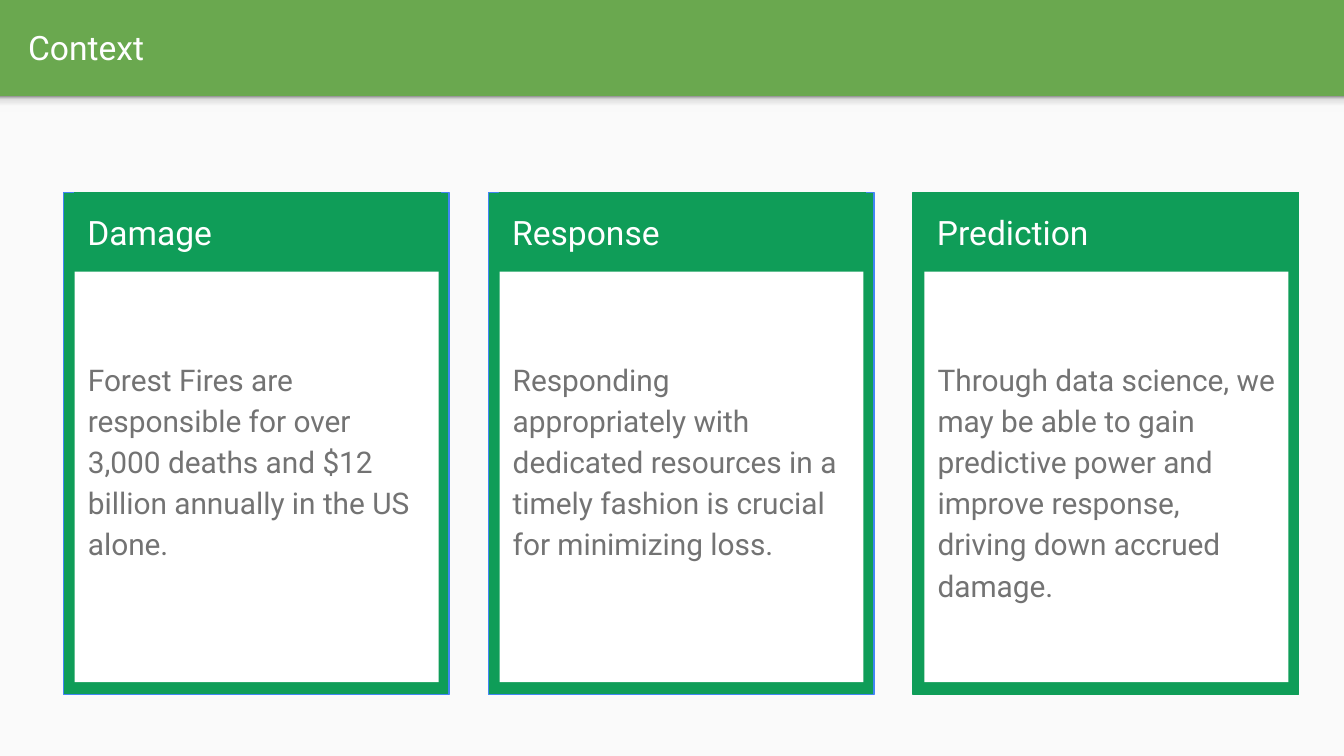
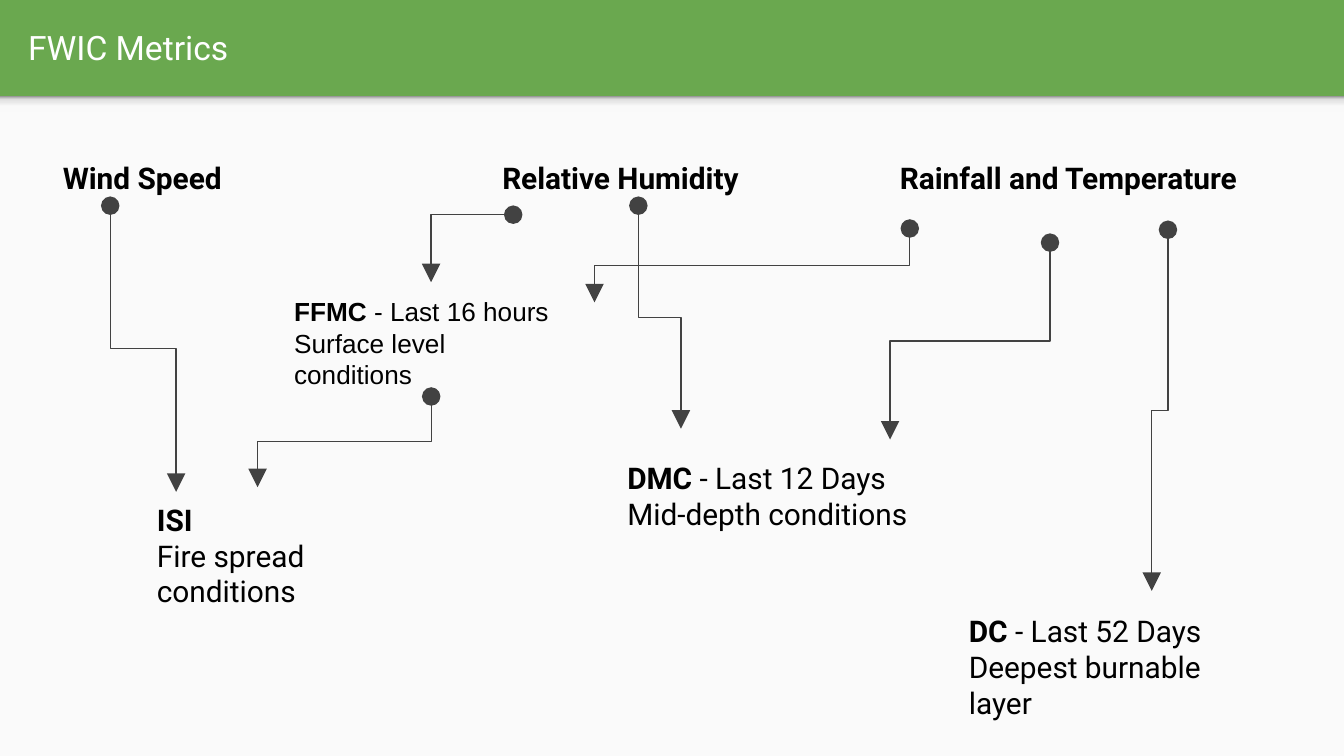
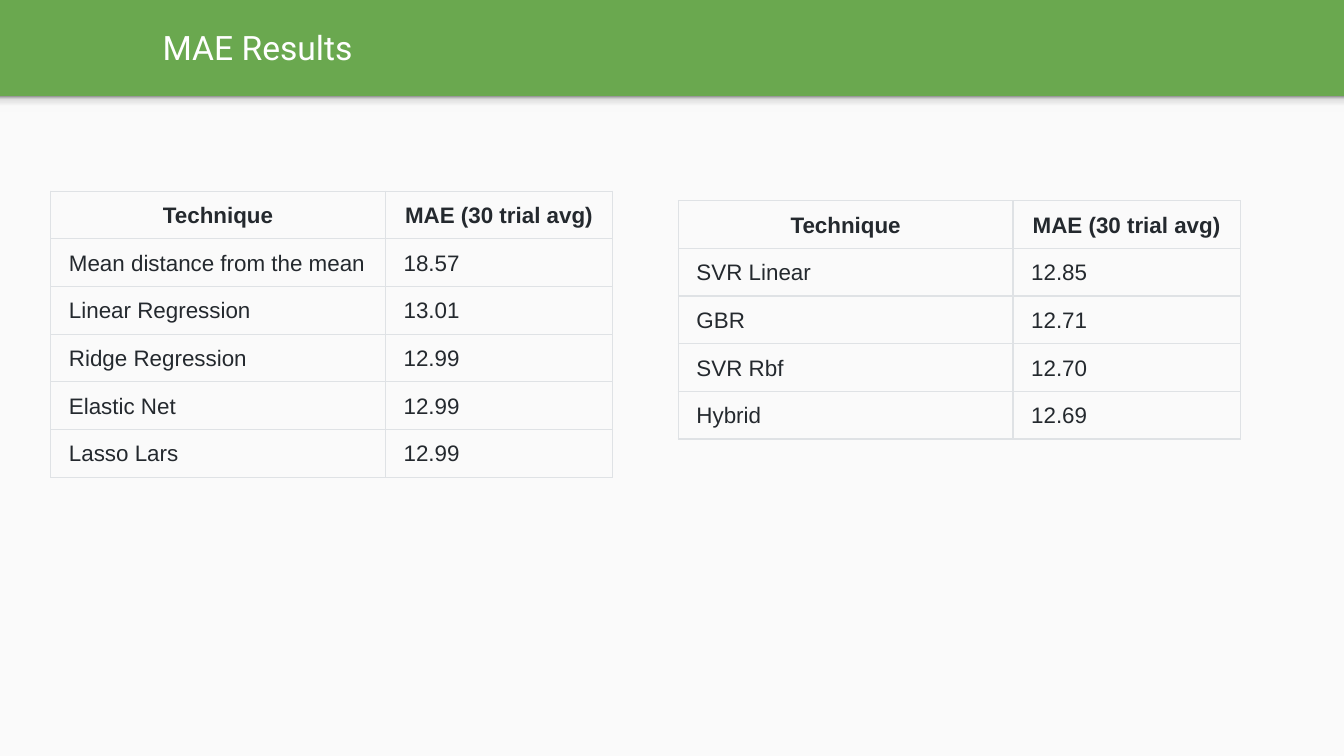
"""Build three slides on forest fire context, FWIC metrics and MAE results."""
from dataclasses import dataclass
from typing import NamedTuple

from lxml import etree
from pptx import Presentation
from pptx import util as u
from pptx.dml import color
from pptx.enum import shapes, text
from pptx.oxml import ns


@dataclass(frozen=True)
class Theme:
    """Colours, fonts and type sizes."""
    band: str = "6AA84F"
    page: str = "FAFAFA"
    white: str = "FFFFFF"
    card: str = "0F9D58"
    outline: str = "4285F4"
    muted: str = "737373"
    black: str = "000000"
    arrow: str = "424242"
    cell: str = "24292E"
    border: str = "DFE2E5"
    font: str = "Roboto"
    plain_font: str = "Arial"
    title: int = 18
    body: int = 16
    small: int = 14
    table: int = 12
    hairline: float = 0.75


THEME = Theme()
WIDTH, HEIGHT, BAND = 720, 405, 51.5
INSET = 7.2
SHADOW_STOPS = ((0, "F9F9F9"), (36, "F9F9F9"), (80, "DEDEDE"), (100, "999999"))


class Box(NamedTuple):
    """Place of an object in points."""
    left: float
    top: float
    width: float
    height: float


class Card(NamedTuple):
    """A headed card."""
    heading: str
    body: str
    outline: str


class Label(NamedTuple):
    """Text whose first line opens with a bold term."""
    box: Box
    term: str
    rest: str = ""
    detail: str = ""
    size: int = THEME.body
    font: str = THEME.font


class Arrow(NamedTuple):
    """An elbow arrow between two points."""
    start: tuple[float, float]
    end: tuple[float, float]
    vertical: bool = True
    preset: str = "bentConnector3"


class Results(NamedTuple):
    """A table of errors by technique."""
    left: float
    top: float
    rows: tuple[tuple[str, str], ...]


CARDS = (
    Card("Damage", "Forest Fires are responsible for over 3,000 deaths and $12 billion "
         "annually in the US alone.", THEME.outline),
    Card("Response", "Responding appropriately with dedicated resources in a timely "
         "fashion is crucial for minimizing loss.", THEME.outline),
    Card("Prediction", "Through data science, we may be able to gain predictive power and "
         "improve response, driving down accrued damage.", THEME.card),
)
LABELS = (
    Label(Box(475, 78.5, 232.5, 53), "Rainfall and Temperature"),
    Label(Box(150.5, 151.2, 160.5, 61), "FFMC", " - Last 16 hours",
          "Surface level conditions", THEME.small, THEME.plain_font),
    Label(Box(329, 239, 183, 60.5), "DMC", " - Last 12 Days", "Mid-depth conditions"),
    Label(Box(512, 321, 144, 39), "DC", " - Last 52 Days", "Deepest burnable layer"),
    Label(Box(77, 261.4, 121.7, 70), "ISI", detail="Fire spread conditions"),
    Label(Box(262, 78.5, 160.5, 32.4), "Relative Humidity"),
    Label(Box(26.6, 78.5, 160.5, 60.5), "Wind Speed"),
)
ARROWS = (
    Arrow((59, 110.2), (94.3, 263.5)),
    Arrow((231, 212.4), (138, 261)),
    Arrow((275, 115), (231, 151.2), False, "bentConnector2"),
    Arrow((342, 110.2), (364.8, 229.7)),
    Arrow((625.7, 123.1), (617, 316.6)),
    Arrow((562.5, 130), (476.8, 235.5)),
    Arrow((487.4, 122.4), (318.5, 162)),
)
HEADER = ("Technique", "MAE (30 trial avg)")
TABLES = (
    Results(27.2, 102.4, (
        ("Mean distance from the mean", "18.57"), ("Linear Regression", "13.01"),
        ("Ridge Regression", "12.99"), ("Elastic Net", "12.99"), ("Lasso Lars", "12.99"))),
    Results(363.4, 107.5, (
        ("SVR Linear", "12.85"), ("GBR", "12.71"), ("SVR Rbf", "12.70"), ("Hybrid", "12.69"))),
)


def rgb(value: str) -> color.RGBColor:
    """Turn a hex string into a colour."""
    return color.RGBColor.from_string(value)


def points(values: tuple[float, ...]) -> list[int]:
    """Convert point values to lengths."""
    return [u.Pt(value) for value in values]


def add_span(para, words: str, *, size: int, ink: str, font: str = THEME.font,
             bold: bool = False) -> None:
    """Append formatted text to a paragraph."""
    span = para.add_run()
    span.text = words
    span.font.size = u.Pt(size)
    span.font.name = font
    span.font.bold = bold
    span.font.color.rgb = rgb(ink)


def set_margins(target, left: float, top: float, right: float, bottom: float) -> None:
    """Set the insets of a text frame or table cell."""
    target.margin_left, target.margin_top, target.margin_right, target.margin_bottom = points(
        (left, top, right, bottom))


def open_frame(shape, *, left: float = INSET, top: float = INSET,
               anchor=text.MSO_ANCHOR.TOP):
    """Prepare a wrapping text frame and return its first paragraph."""
    frame = shape.text_frame
    frame.word_wrap = True
    frame.vertical_anchor = anchor
    set_margins(frame, left, top, INSET, INSET)
    para = frame.paragraphs[0]
    para.alignment = text.PP_ALIGN.LEFT
    return para


def add_rect(page, box: Box, fill: str, outline: str = ""):
    """Draw a flat rectangle."""
    shape = page.shapes.add_shape(shapes.MSO_SHAPE.RECTANGLE, *points(box))
    shape.shadow.inherit = False
    shape.fill.solid()
    shape.fill.fore_color.rgb = rgb(fill)
    if outline:
        shape.line.color.rgb = rgb(outline)
        shape.line.width = u.Pt(THEME.hairline)
    else:
        shape.line.fill.background()
    return shape


def add_page(deck, title: str, indent: float = 0):
    """Add a slide with its band, shaded edge and title."""
    page = deck.slides.add_slide(deck.slide_layouts[6])
    page.background.fill.solid()
    page.background.fill.fore_color.rgb = rgb(THEME.band)
    add_rect(page, Box(0, BAND, WIDTH, HEIGHT - BAND), THEME.page)
    edge = add_rect(page, Box(0, BAND, WIDTH, 8.6), THEME.page)
    edge.fill.gradient()
    edge.fill.gradient_angle = 90
    stops = edge.element.spPr.find(".//" + ns.qn("a:gsLst"))
    for stop in list(stops):
        stops.remove(stop)
    for position, tint in SHADOW_STOPS:
        stop = etree.SubElement(stops, ns.qn("a:gs"), pos=str(position * 1000))
        etree.SubElement(stop, ns.qn("a:srgbClr"), val=tint)
    box = page.shapes.add_textbox(*points(Box(8, 1.5, 695, 47.5)))
    para = open_frame(box, left=INSET + indent, anchor=text.MSO_ANCHOR.MIDDLE)
    add_span(para, title, size=THEME.title, ink=THEME.white)
    return page


def add_card(page, card: Card, left: float) -> None:
    """Draw a card with a heading and a white body."""
    top = 103
    add_rect(page, Box(left, top, 206.6, 36.7), THEME.card)
    add_rect(page, Box(left, top, 206.6, 269), THEME.card, card.outline)
    heading = add_rect(page, Box(left + 5.7, top, 196.6, 36), THEME.card)
    body = add_rect(page, Box(left + 6, top + 42.5, 195, 220), THEME.white)
    for shape, words, inset, size, ink in (
            (heading, card.heading, INSET, THEME.title, THEME.white),
            (body, card.body, 45.2, THEME.body, THEME.muted)):
        para = open_frame(shape, top=inset)
        para.line_spacing = 1.15
        add_span(para, words, size=size, ink=ink)


def add_label(page, label: Label) -> None:
    """Write a bold term with its period and description."""
    para = open_frame(page.shapes.add_textbox(*points(label.box)))
    look = {"size": label.size, "ink": THEME.black, "font": label.font}
    add_span(para, label.term, bold=True, **look)
    if label.rest:
        add_span(para, label.rest, **look)
    if label.detail:
        second = page.shapes[-1].text_frame.add_paragraph()
        add_span(second, label.detail, **look)


def add_arrow(page, arrow: Arrow) -> None:
    """Draw an elbow arrow, turned a quarter when it leaves vertically."""
    (x1, y1), (x2, y2) = arrow.start, arrow.end
    ends, turn = (x1, y1, x2, y2), 0
    if arrow.vertical:
        rightward = x2 > x1
        turn = 270 if rightward else 90
        middle_x, middle_y = (x1 + x2) / 2, (y1 + y2) / 2
        reach = (y2 - y1) / 2 * (-1 if rightward else 1)
        rise = abs(x2 - x1) / 2
        ends = (middle_x - reach, middle_y - rise, middle_x + reach, middle_y + rise)
    line = page.shapes.add_connector(shapes.MSO_CONNECTOR.ELBOW, *points(ends))
    line.line.color.rgb = rgb(THEME.arrow)
    line.line.width = u.Pt(THEME.hairline)
    properties = line.element.spPr
    properties.find(ns.qn("a:xfrm")).set("rot", str(turn * 60000))
    properties.find(ns.qn("a:prstGeom")).set("prst", arrow.preset)
    stroke = properties.find(ns.qn("a:ln"))
    for tag, kind in (("a:headEnd", "oval"), ("a:tailEnd", "triangle")):
        etree.SubElement(stroke, ns.qn(tag), type=kind, w="lg", len="lg")
    etree.SubElement(properties, ns.qn("a:effectLst"))


def add_borders(cell) -> None:
    """Outline all four sides of a cell."""
    properties = cell._tc.get_or_add_tcPr()
    for index, side in enumerate(("a:lnL", "a:lnR", "a:lnT", "a:lnB")):
        line = etree.Element(ns.qn(side), w=str(u.Pt(THEME.hairline)))
        fill = etree.SubElement(line, ns.qn("a:solidFill"))
        etree.SubElement(fill, ns.qn("a:srgbClr"), val=THEME.border)
        properties.insert(index, line)


def add_results(page, results: Results) -> None:
    """Draw a bordered table with a bold centred header."""
    rows = (HEADER, *results.rows)
    widths, row_height = (179.3, 121.7), 23
    place = Box(results.left, results.top, sum(widths), row_height * len(rows))
    table = page.shapes.add_table(len(rows), len(widths), *points(place)).table
    table.horz_banding = False
    for column, width in zip(table.columns, widths):
        column.width = u.Pt(width)
    for row_index, row in enumerate(rows):
        is_header = row_index == 0
        for column_index, words in enumerate(row):
            cell = table.cell(row_index, column_index)
            cell.fill.background()
            set_margins(cell, 9.75, 4.5, 9.75, 4.5)
            para = cell.text_frame.paragraphs[0]
            para.alignment = text.PP_ALIGN.CENTER if is_header else text.PP_ALIGN.LEFT
            para.line_spacing = 1.15
            add_span(para, words, size=THEME.table, ink=THEME.cell,
                     font=THEME.plain_font, bold=is_header)
            add_borders(cell)


def main() -> None:
    """Build and save the deck."""
    deck = Presentation()
    deck.slide_width, deck.slide_height = u.Pt(WIDTH), u.Pt(HEIGHT)
    context = add_page(deck, "Context")
    for index, card in enumerate(CARDS):
        add_card(context, card, 34 + 227.6 * index)
    metrics = add_page(deck, "FWIC Metrics")
    for label in LABELS:
        add_label(metrics, label)
    for arrow in ARROWS:
        add_arrow(metrics, arrow)
    errors = add_page(deck, "MAE Results", indent=72)
    for results in TABLES:
        add_results(errors, results)
    deck.save("out.pptx")


if __name__ == "__main__":
    main()
